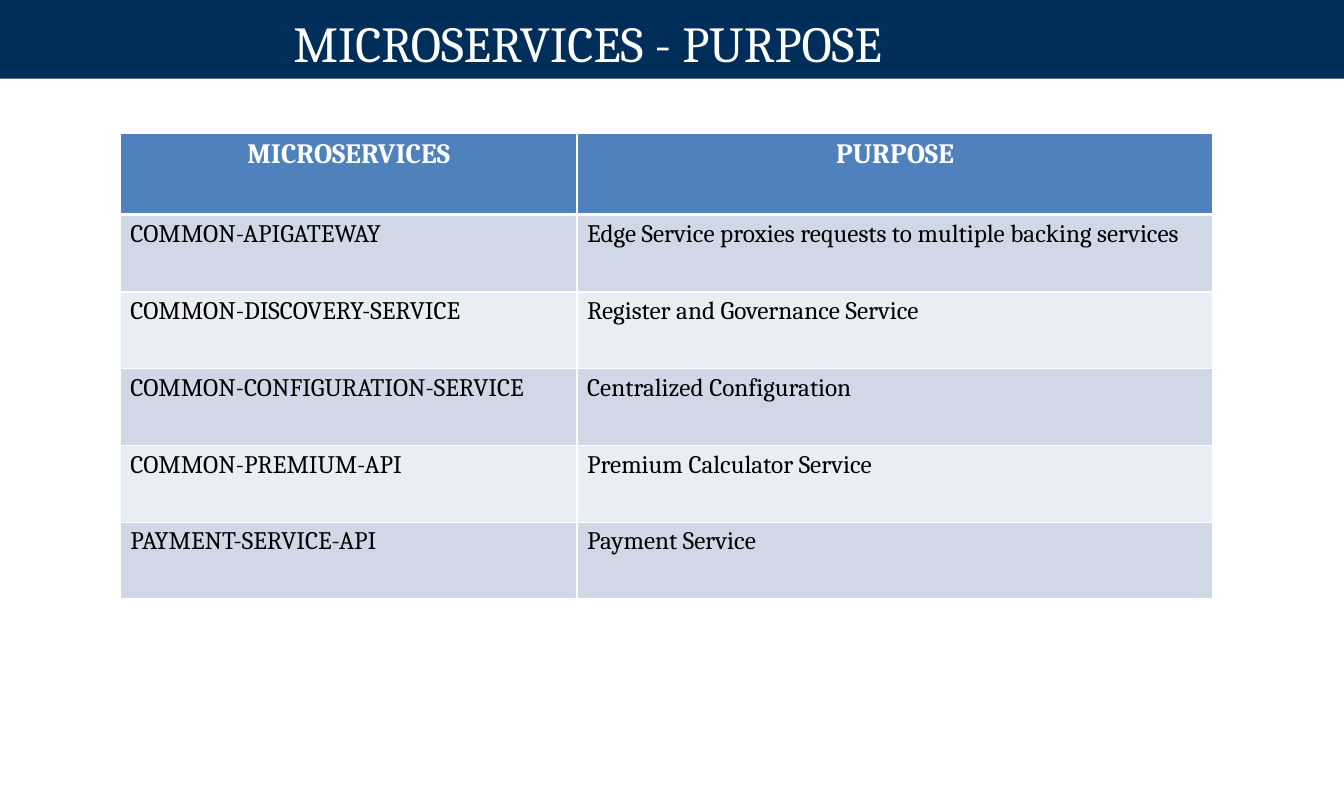
from dataclasses import dataclass
from typing import NamedTuple

from lxml.etree import SubElement
from pptx import Presentation
from pptx.dml.color import RGBColor
from pptx.enum.shapes import MSO_SHAPE
from pptx.enum.text import PP_ALIGN
from pptx.oxml.ns import qn
from pptx.util import Pt


@dataclass(frozen=True)
class Theme:
    font: str = "Cambria"
    banner: str = "002E5B"
    header: str = "4F81BD"
    bands: tuple[str, str] = ("D0D8E8", "E9EDF4")
    white: str = "FFFFFF"
    black: str = "000000"
    title_size: float = 36
    header_size: float = 20
    body_size: float = 18
    border: float = 1
    header_border: float = 3


class Service(NamedTuple):
    name: str
    purpose: str


class Style(NamedTuple):
    size: float
    color: str
    bold: bool = False
    align: PP_ALIGN = PP_ALIGN.LEFT


THEME = Theme()
TITLE = Style(THEME.title_size, THEME.white, align=PP_ALIGN.CENTER)
HEADER = Style(THEME.header_size, THEME.white, True, PP_ALIGN.CENTER)
BODY = Style(THEME.body_size, THEME.black)

ROWS = [
    Service("MICROSERVICES", "PURPOSE"),
    Service("COMMON-APIGATEWAY", "Edge Service proxies requests to multiple backing services"),
    Service("COMMON-DISCOVERY-SERVICE", "Register and Governance Service"),
    Service("COMMON-CONFIGURATION-SERVICE", "Centralized Configuration"),
    Service("COMMON-PREMIUM-API", "Premium Calculator Service"),
    Service("PAYMENT-SERVICE-API", "Payment Service"),
]
COL_WIDTHS = (326.2, 454.3)
ROW_HEIGHTS = (58.3, 55.4, 54.8, 54.8, 54.8, 54.8)


def set_text(tf, text: str, style: Style) -> None:
    p = tf.paragraphs[0]
    p.text = text
    p.alignment = style.align
    font = p.runs[0].font
    font.name = THEME.font
    font.size = Pt(style.size)
    font.bold = style.bold
    font.color.rgb = RGBColor.from_string(style.color)


def set_borders(cell, top: float, bottom: float) -> None:
    tc_pr = cell._tc.get_or_add_tcPr()
    widths = {"lnL": THEME.border, "lnR": THEME.border, "lnT": top, "lnB": bottom}
    for tag, width in widths.items():
        ln = SubElement(tc_pr, qn(f"a:{tag}"), w=str(Pt(width)))
        fill = SubElement(ln, qn("a:solidFill"))
        SubElement(fill, qn("a:srgbClr"), val=THEME.white)


def add_banner(s, width: int) -> None:
    sp = s.shapes.add_shape(MSO_SHAPE.RECTANGLE, 0, 0, width, Pt(56.2))
    sp.shadow.inherit = False
    sp.fill.solid()
    sp.fill.fore_color.rgb = RGBColor.from_string(THEME.banner)
    sp.line.fill.background()
    title = s.shapes.add_textbox(Pt(144), Pt(5), Pt(551.5), Pt(51))
    title.text_frame.word_wrap = True
    set_text(title.text_frame, "MICROSERVICES - PURPOSE", TITLE)


def add_services(s) -> None:
    table = s.shapes.add_table(
        len(ROWS), len(COL_WIDTHS), Pt(86), Pt(95),
        Pt(sum(COL_WIDTHS)), Pt(sum(ROW_HEIGHTS)),
    ).table
    for column, width in zip(table.columns, COL_WIDTHS):
        column.width = Pt(width)
    for i, (service, height) in enumerate(zip(ROWS, ROW_HEIGHTS)):
        table.rows[i].height = Pt(height)
        color = THEME.bands[(i - 1) % 2] if i else THEME.header
        top = THEME.header_border if i == 1 else THEME.border
        bottom = THEME.border if i else THEME.header_border
        for cell, text in zip(table.rows[i].cells, service):
            set_borders(cell, top, bottom)
            cell.fill.solid()
            cell.fill.fore_color.rgb = RGBColor.from_string(color)
            set_text(cell.text_frame, text, BODY if i else HEADER)


def main() -> None:
    prs = Presentation()
    prs.slide_width, prs.slide_height = Pt(960), Pt(561.6)
    s = prs.slides.add_slide(prs.slide_layouts[6])
    add_banner(s, prs.slide_width)
    add_services(s)
    prs.save("out.pptx")


if __name__ == "__main__":
    main()
